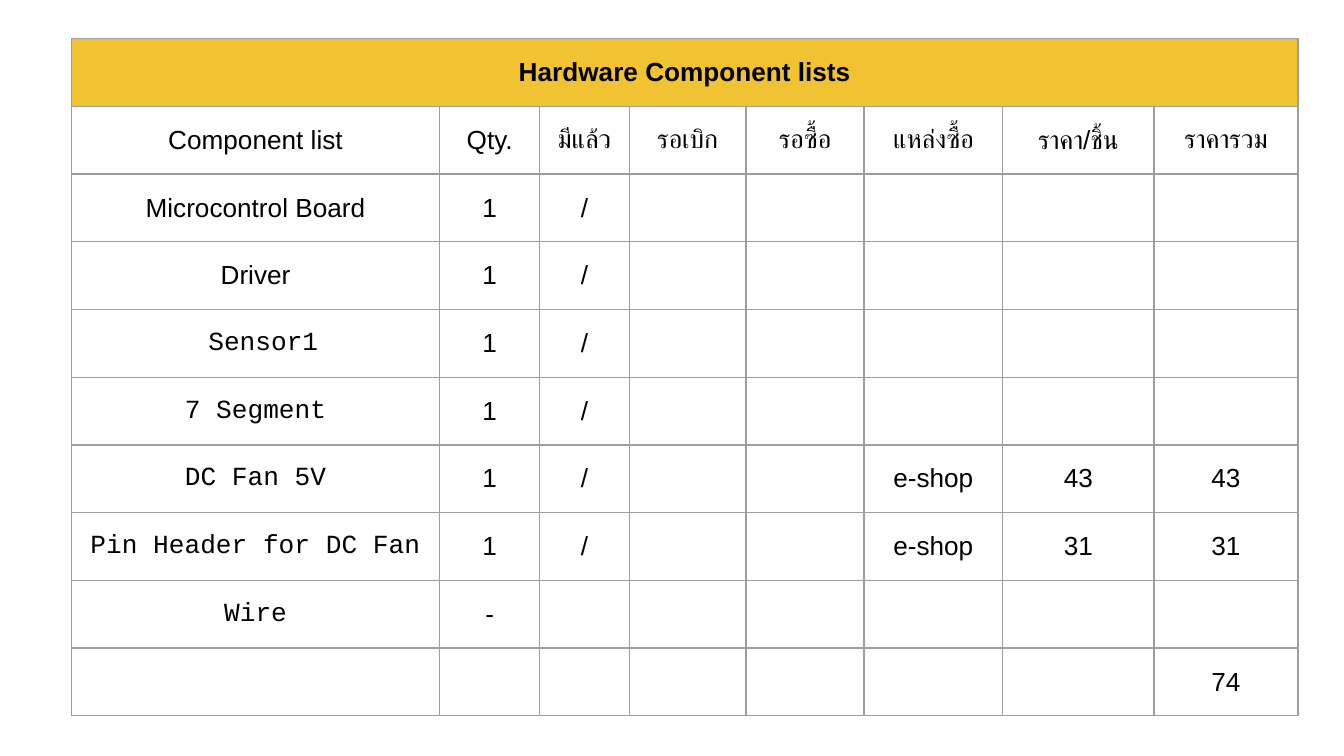
from lxml.etree import SubElement
from pptx import Presentation
from pptx.dml.color import RGBColor
from pptx.enum.text import MSO_ANCHOR, PP_ALIGN
from pptx.oxml.ns import qn
from pptx.util import Cm, Pt

COLORS = {"head": "F1C232", "text": "000000", "line": "9E9E9E"}
TITLE = "Hardware Component lists"
HEADS = ["Component list", "Qty.", "มีแล้ว", "รอเบิก", "รอซื้อ",
         "แหล่งซื้อ", "ราคา/ชิ้น", "ราคารวม"]
PARTS = [
    ["Microcontrol Board", "1", "/", "", "", "", "", ""],
    ["Driver", "1", "/", "", "", "", "", ""],
    [" Sensor1", "1", "/", "", "", "", "", ""],
    ["7 Segment", "1", "/", "", "", "", "", ""],
    ["DC Fan 5V", "1", "/", "", "", "e-shop", "43", "43"],
    ["Pin Header for DC Fan", "1", "/", "", "", "e-shop", "31", "31"],
    ["Wire", "-", "", "", "", "", "", ""],
]
TOTAL = [""] * 7 + ["74"]
ROWS = [[TITLE] + [""] * 7, HEADS, *PARTS, TOTAL]
MONO = {row[0] for row in PARTS[2:]}
WIDTHS = [6.96, 1.89, 1.69, 2.21, 2.23, 2.62, 2.86, 2.72]
LEFT, TOP, HIGH = 1.35, 0.73, 1.28


def border(cell):
    props = cell._tc.get_or_add_tcPr()
    for side in ("lnL", "lnR", "lnT", "lnB"):
        line = SubElement(props, qn(f"a:{side}"), w=str(Pt(0.75)))
        fill = SubElement(line, qn("a:solidFill"))
        SubElement(fill, qn("a:srgbClr"), val=COLORS["line"])


def write(cell, text, bold):
    cell.vertical_anchor = MSO_ANCHOR.MIDDLE
    cell.margin_left = cell.margin_right = Cm(0.25)
    cell.margin_top = cell.margin_bottom = Cm(0.25)
    if not text:
        return
    para = cell.text_frame.paragraphs[0]
    para.text = text
    para.alignment = PP_ALIGN.CENTER
    font = para.runs[0].font
    font.name = "Courier New" if text in MONO else "Arial"
    font.size = Pt(14)
    font.bold = bold
    font.color.rgb = RGBColor.from_string(COLORS["text"])


def main():
    """Build the hardware component list slide."""
    deck = Presentation()
    deck.slide_width, deck.slide_height = Cm(25.4), Cm(14.29)
    slide = deck.slides.add_slide(deck.slide_layouts[6])
    frame = slide.shapes.add_table(
        len(ROWS), len(WIDTHS), Cm(LEFT), Cm(TOP),
        Cm(sum(WIDTHS)), Cm(HIGH * len(ROWS)))
    table = frame.table
    table.first_row = table.horz_banding = False
    for col, width in zip(table.columns, WIDTHS):
        col.width = Cm(width)
    for r, row in enumerate(ROWS):
        table.rows[r].height = Cm(HIGH)
        for c, text in enumerate(row):
            cell = table.cell(r, c)
            border(cell)
            write(cell, text, r == 0)
            if r == 0:
                cell.fill.solid()
                cell.fill.fore_color.rgb = RGBColor.from_string(COLORS["head"])
            else:
                cell.fill.background()
    table.cell(0, 0).merge(table.cell(0, len(WIDTHS) - 1))
    deck.save("out.pptx")


if __name__ == "__main__":
    main()
